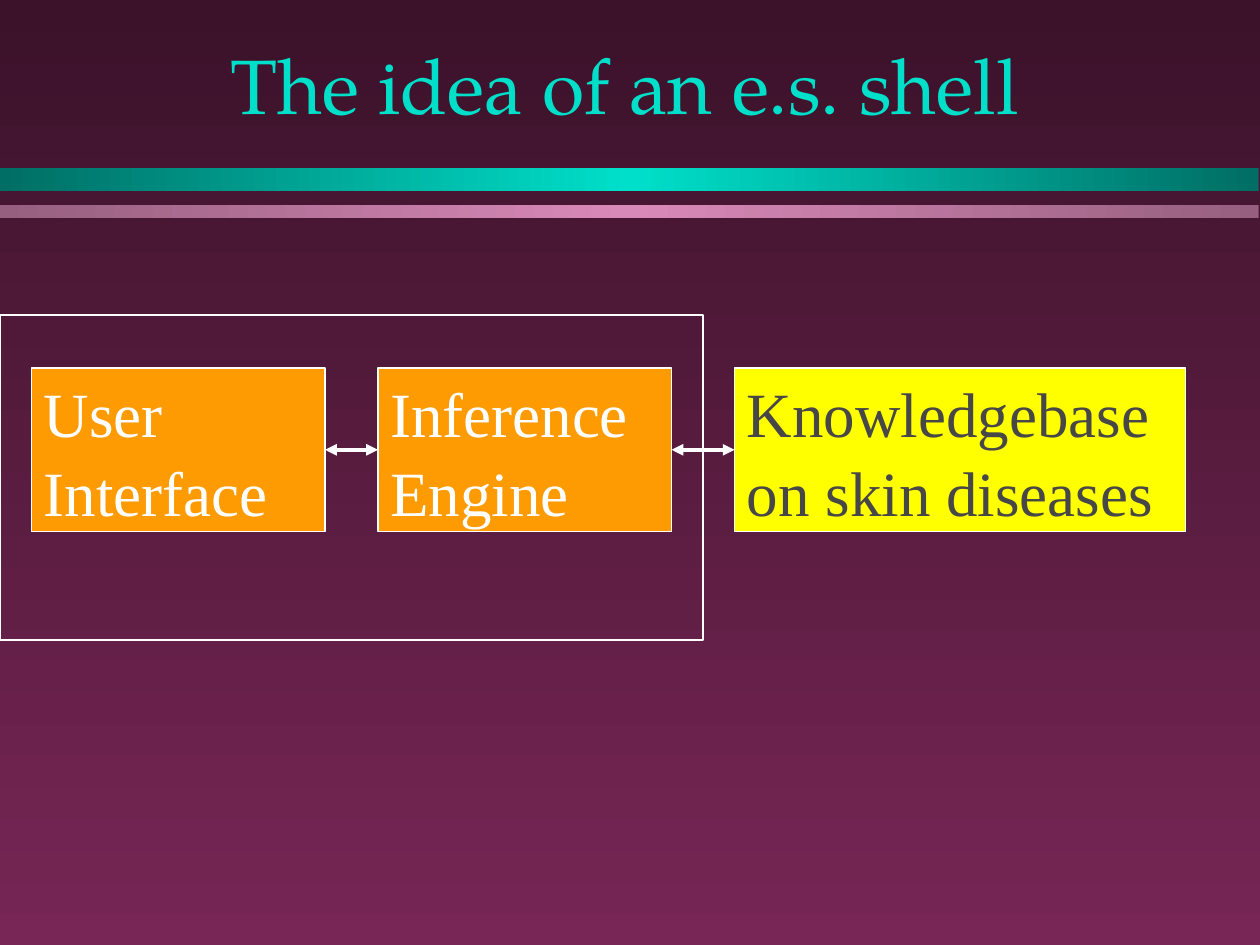
import copy
from dataclasses import dataclass

import pptx
import pptx.dml.color
import pptx.enum.shapes
import pptx.enum.text
import pptx.oxml
import pptx.oxml.ns
import pptx.util

Inches = pptx.util.Inches
Pt = pptx.util.Pt
qn = pptx.oxml.ns.qn
RECTANGLE = pptx.enum.shapes.MSO_SHAPE.RECTANGLE
ALIGN = pptx.enum.text.PP_ALIGN
ANCHOR = pptx.enum.text.MSO_ANCHOR


@dataclass(frozen=True)
class Theme:
    backdrop: tuple = ("3B122A", "772655")
    teal_bar: tuple = ("006E64", "00DFCA", "006E64")
    pink_bar: tuple = ("965F7F", "D989B8", "965F7F")
    title: str = "00DFCA"
    white: str = "FFFFFF"
    orange: str = "FE9B03"
    yellow: str = "FFFF00"
    dark: str = "474747"
    title_font: str = "TeX Gyre Pagella"
    body_font: str = "Times New Roman"
    title_size: int = 44
    body_size: int = 36
    outline: float = 1
    arrow: float = 2.25


THEME = Theme()


def rgb(value):
    return pptx.dml.color.RGBColor.from_string(value)


def set_gradient(fill, element, colors, angle):
    """Spread the colours evenly along a linear gradient."""
    fill.gradient()
    fill.gradient_angle = angle
    stops = element.find(".//" + qn("a:gsLst"))
    while len(stops) < len(colors):
        stops.append(copy.deepcopy(stops[-1]))
    for index, (stop, color) in enumerate(zip(fill.gradient_stops, colors)):
        stop.color.rgb = rgb(color)
        stop.position = index / (len(colors) - 1)


def add_rectangle(page, box, fill=None, line=None):
    shape = page.shapes.add_shape(RECTANGLE, *map(Inches, box))
    shape.shadow.inherit = False
    if fill:
        shape.fill.solid()
        shape.fill.fore_color.rgb = rgb(fill)
    else:
        shape.fill.background()
    if line:
        shape.line.color.rgb = rgb(line)
        shape.line.width = Pt(THEME.outline)
    else:
        shape.line.fill.background()
    return shape


def write_text(shape, text, anchor, align, font, size, color):
    frame = shape.text_frame
    frame.word_wrap = True
    frame.vertical_anchor = anchor
    para = frame.paragraphs[0]
    para.alignment = align
    span = para.add_run()
    span.text = text
    for name, value in {"name": font, "size": Pt(size)}.items():
        setattr(span.font, name, value)
    span.font.color.rgb = rgb(color)


def add_title(page, box, text):
    title = page.shapes.add_textbox(*map(Inches, box))
    write_text(title, text, ANCHOR.BOTTOM, ALIGN.CENTER,
               THEME.title_font, THEME.title_size, THEME.title)


def add_rules(page, box):
    """Teal bar with a thinner pink bar at the foot of the box."""
    left, top, width, height = box
    bars = ((top, 0.19, THEME.teal_bar),
            (top + height - 0.1, 0.1, THEME.pink_bar))
    for bar_top, thickness, colors in bars:
        bar = add_rectangle(page, (left, bar_top, width, thickness))
        set_gradient(bar.fill, bar._element, colors, 180)


def add_arrow(page, start, end):
    """Double-headed arrow from the right side of start to the left of end."""
    arrow = page.shapes.add_connector(
        pptx.enum.shapes.MSO_CONNECTOR.STRAIGHT, 0, 0, 0, 0)
    arrow.begin_connect(start, 3)
    arrow.end_connect(end, 1)
    arrow.line.color.rgb = rgb(THEME.white)
    arrow.line.width = Pt(THEME.arrow)
    outline = arrow.line._get_or_add_ln()
    for tag in ("a:headEnd", "a:tailEnd"):
        outline.append(pptx.oxml.parse_xml(
            f'<{tag} {pptx.oxml.ns.nsdecls("a")} type="triangle"/>'))
    arrow._element.spPr.append(pptx.oxml.parse_xml(
        f'<a:effectLst {pptx.oxml.ns.nsdecls("a")}/>'))


def add_diagram(page, box):
    """Shell frame around two parts, with the knowledge base outside it."""
    left, top, width, height = box
    parts = (
        ("User Interface", 0.25, 2.33, THEME.orange, THEME.white),
        ("Inference Engine", 3, 2.33, THEME.orange, THEME.white),
        ("Knowledgebase on skin diseases", 5.83, 3.58,
         THEME.yellow, THEME.dark),
    )
    blocks = []
    for text, offset, block_width, fill, color in parts:
        block = add_rectangle(
            page, (left + offset, top + 0.42, block_width, 1.3),
            fill, THEME.white)
        write_text(block, text, ANCHOR.MIDDLE, ALIGN.LEFT,
                   THEME.body_font, THEME.body_size, color)
        block.text_frame.paragraphs[0].line_spacing = 1.05
        blocks.append(block)
    for start, end in zip(blocks, blocks[1:]):
        add_arrow(page, start, end)
    add_rectangle(page, (left, top, 5.58, height), line=THEME.white)


def main():
    deck = pptx.Presentation()
    deck.slide_width, deck.slide_height = Inches(10), Inches(7.5)
    page = deck.slides.add_slide(deck.slide_layouts[6])
    set_gradient(page.background.fill, page._element, THEME.backdrop, 270)
    add_rules(page, (0, 1.33, 9.99, 0.4))
    add_title(page, (0.67, 0.25, 8.58, 0.83), "The idea of an e.s. shell")
    add_diagram(page, (0, 2.5, 9.41, 2.58))
    deck.save("out.pptx")


if __name__ == "__main__":
    main()
